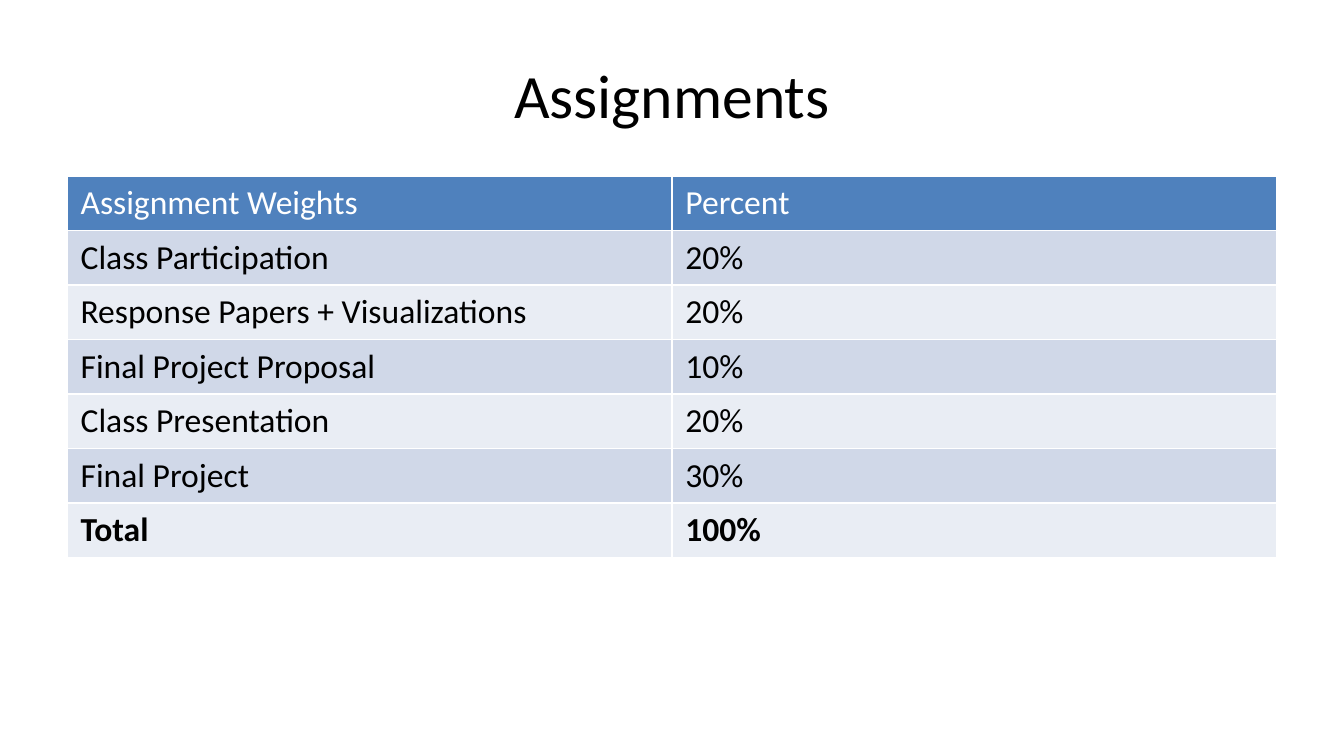
"""Build the course slide that lists assignment weights."""
from pptx import Presentation
from pptx.dml.color import RGBColor
from pptx.enum.text import MSO_ANCHOR, PP_ALIGN
from pptx.util import Inches, Pt

MIDDLE = MSO_ANCHOR.MIDDLE
CENTER = PP_ALIGN.CENTER

TITLE = "Assignments"
ROWS = [
    ("Assignment Weights", "Percent"),
    ("Class Participation", "20%"),
    ("Response Papers + Visualizations", "20%"),
    ("Final Project Proposal", "10%"),
    ("Class Presentation", "20%"),
    ("Final Project", "30%"),
    ("Total", "100%"),
]
COLORS = {
    "head": "4F81BD",
    "odd": "D0D8E8",
    "even": "E9EDF4",
    "white": "FFFFFF",
    "black": "000000",
}
FONT = "Calibri"
PAGE_W = 10
PAGE_H = PAGE_W * 9 / 16
LEFT, WIDTH = 0.5, 9
TOP, HEIGHT = 1.31, 2.84


def color(name):
    return RGBColor.from_string(COLORS[name])


def add_run(para, text, size, ink, bold=False):
    run = para.add_run()
    run.text = text
    font = run.font
    font.name, font.size, font.bold = FONT, Pt(size), bold
    font.color.rgb = color(ink)


def add_title(slide):
    box = slide.shapes.add_textbox(Inches(LEFT), Inches(0.23), Inches(WIDTH), Inches(0.94))
    frame = box.text_frame
    frame.word_wrap = True
    frame.vertical_anchor = MIDDLE
    para = frame.paragraphs[0]
    para.alignment = CENTER
    add_run(para, TITLE, 33, "black")


def add_weights(slide):
    count = len(ROWS)
    table = slide.shapes.add_table(
        count, len(ROWS[0]), Inches(LEFT), Inches(TOP), Inches(WIDTH), Inches(HEIGHT)
    ).table
    for i, row in enumerate(ROWS):
        fill = "head" if i == 0 else "odd" if i % 2 else "even"
        ink = "white" if i == 0 else "black"
        for j, text in enumerate(row):
            cell = table.cell(i, j)
            cell.fill.solid()
            cell.fill.fore_color.rgb = color(fill)
            add_run(cell.text_frame.paragraphs[0], text, 18, ink, i == count - 1)


def main():
    deck = Presentation()
    deck.slide_width, deck.slide_height = Inches(PAGE_W), Inches(PAGE_H)
    slide = deck.slides.add_slide(deck.slide_layouts[6])
    add_title(slide)
    add_weights(slide)
    deck.save("out.pptx")


if __name__ == "__main__":
    main()
